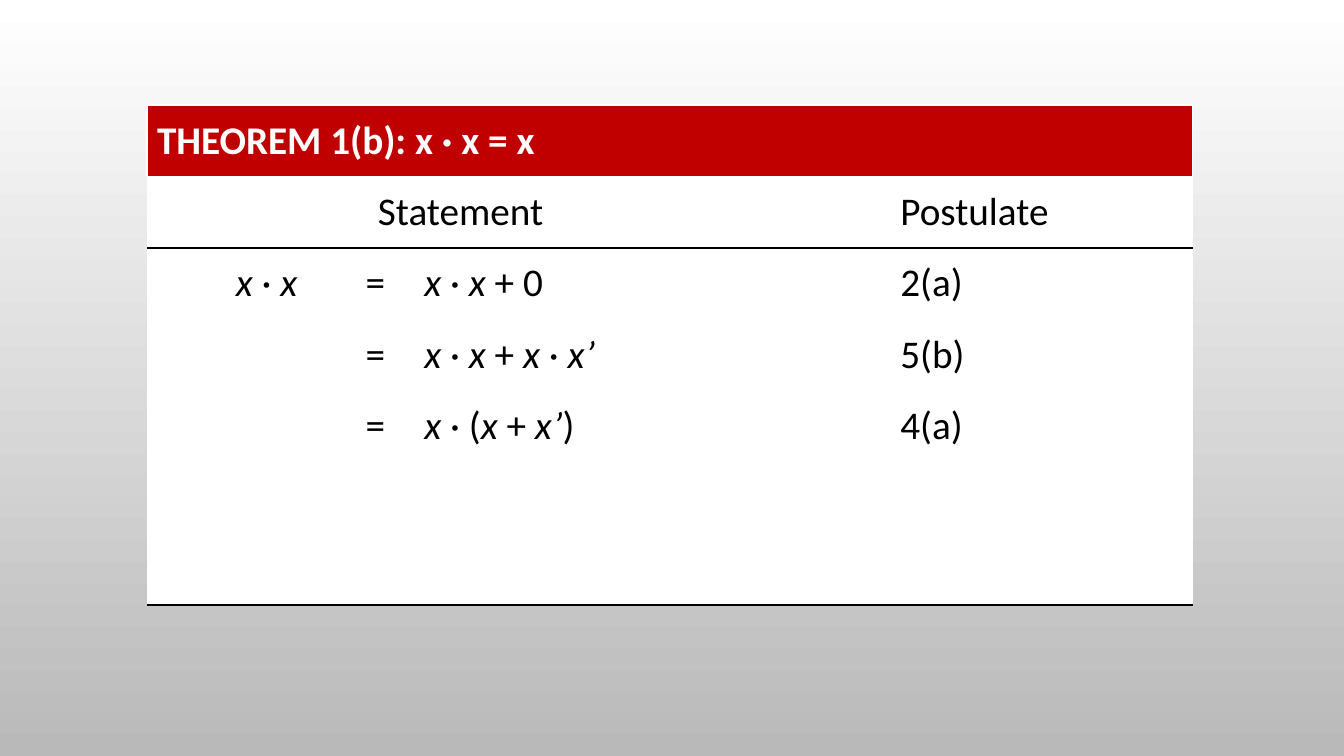
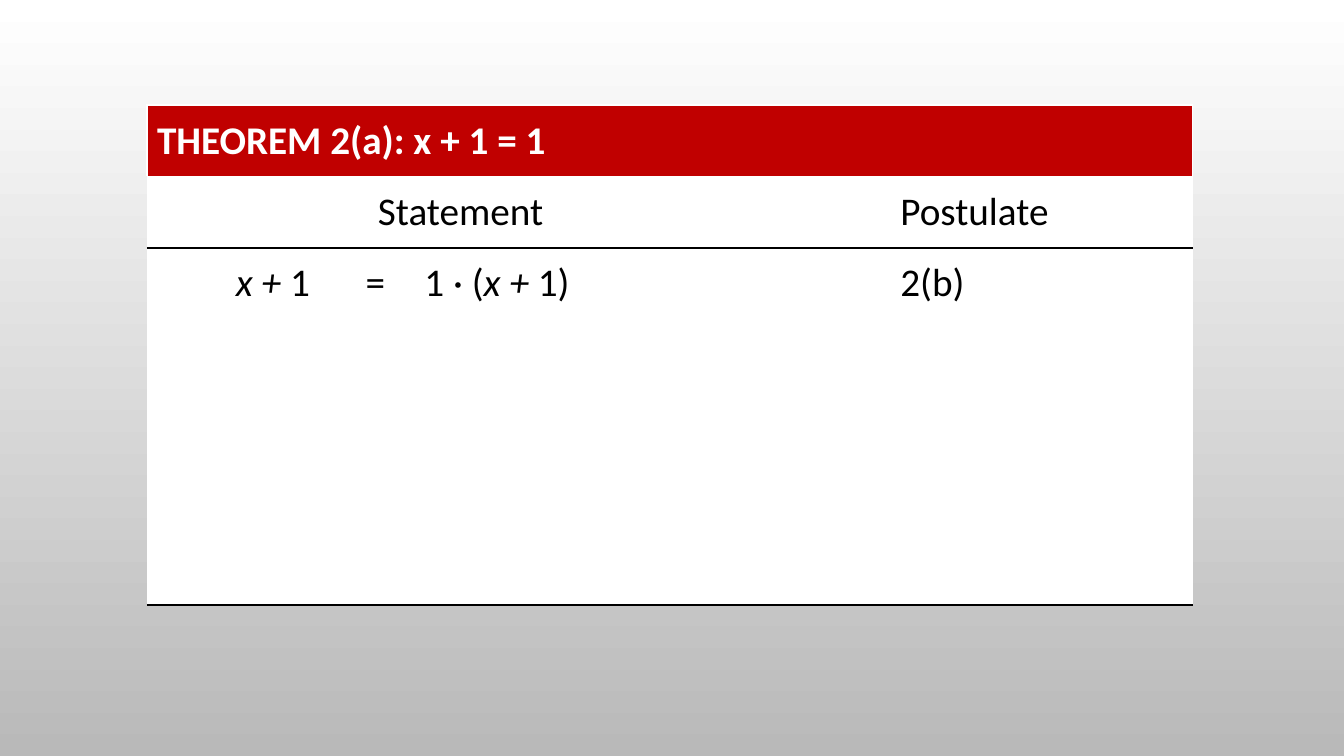
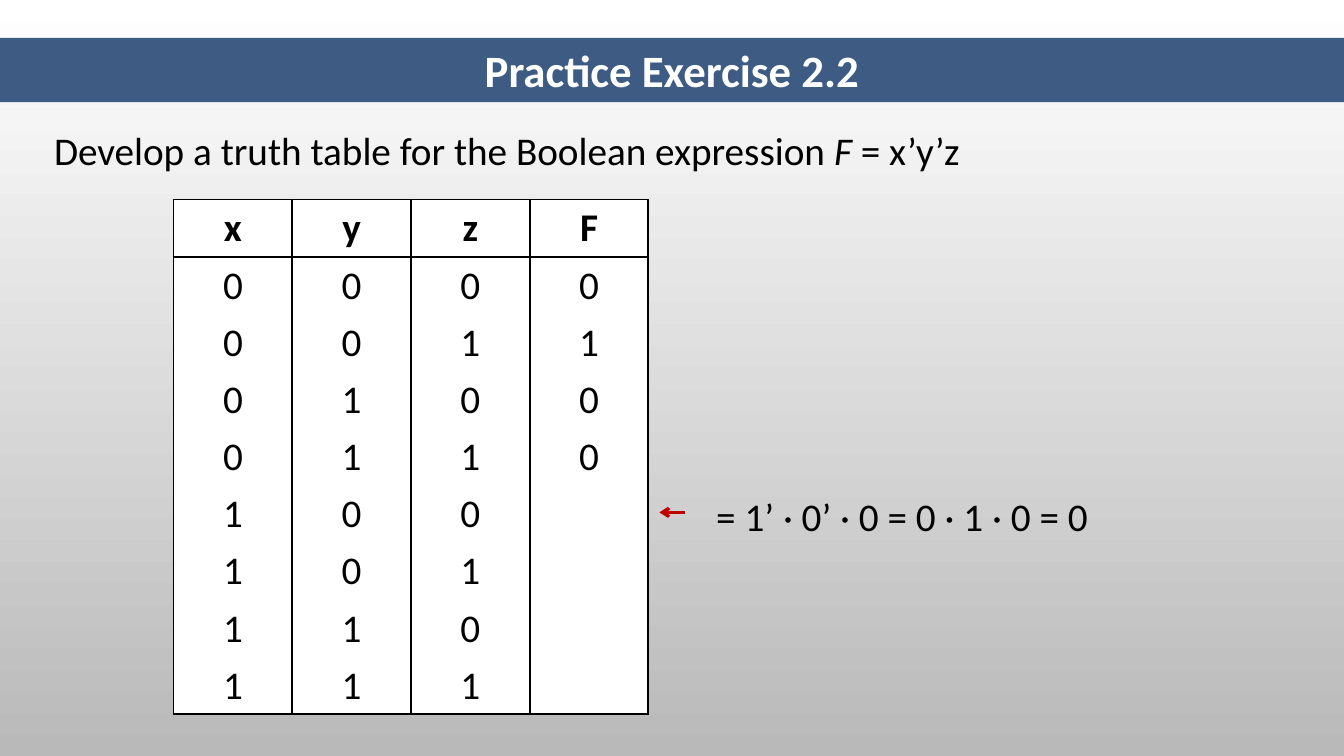
from dataclasses import dataclass
from itertools import product

from lxml.etree import SubElement as Sub
from pptx import Presentation
from pptx.dml.color import RGBColor as Rgb
from pptx.enum.shapes import MSO_CONNECTOR as Link
from pptx.enum.text import MSO_ANCHOR as Anchor, MSO_AUTO_SIZE as Auto, PP_ALIGN as Align
from pptx.oxml.ns import qn
from pptx.util import Pt


# Theme: colours, type sizes and line widths
@dataclass(frozen=True)
class Theme:
    font: str = "Calibri"
    ink: str = "000000"
    paper: str = "FFFFFF"
    shade: str = "B9B9B9"
    red: str = "C00000"
    blue: str = "3E5C83"
    body: int = 28
    head: int = 32
    rule: float = 1.5
    thin: float = 1
    bold: float = 2.25


theme = Theme()
RULE = (theme.ink, theme.rule)
EDGE = (theme.paper, theme.thin)


def color(code):
    return Rgb.from_string(code)


def write(frame, text, size=theme.body, ink=theme.ink, bold=False, align=Align.LEFT):
    """Write one line of text; parts between asterisks are italic."""
    para = frame.paragraphs[0]
    para.alignment = align
    for i, part in enumerate(text.split("*")):
        if part:
            run = para.add_run()
            run.text = part
            font = run.font
            font.name, font.size = theme.font, Pt(size)
            font.bold, font.italic = bold, i % 2 == 1
            font.color.rgb = color(ink)


def border(cell, lines):
    """Draw the given sides (L, R, T, B) of a cell and clear the others."""
    props = cell._tc.get_or_add_tcPr()
    for side in "LRTB":
        line = Sub(props, qn(f"a:ln{side}"))
        if side in lines:
            ink, width = lines[side]
            line.set("w", str(Pt(width)))
            fill = Sub(line, qn("a:solidFill"))
            Sub(fill, qn("a:srgbClr")).set("val", ink)
        else:
            line.set("w", "0")
            Sub(line, qn("a:noFill"))


class Deck:
    def __init__(self):
        self.prs = Presentation()
        self.prs.slide_width, self.prs.slide_height = Pt(960), Pt(540)
        self.slide = None
        # Shared background
        fill = self.prs.slide_master.background.fill
        fill.gradient()
        fill.gradient_angle = 270
        for stop, code in zip(fill.gradient_stops, (theme.paper, theme.shade)):
            stop.color.rgb = color(code)

    def page(self, title=None):
        layout = self.prs.slide_layouts[5 if title else 6]
        self.slide = self.prs.slides.add_slide(layout)
        if title:
            self.band(title)

    def band(self, text):
        shape = self.slide.shapes.title
        shape.left, shape.top = Pt(0), Pt(27)
        shape.width, shape.height = Pt(960), Pt(46)
        shape.fill.solid()
        shape.fill.fore_color.rgb = color(theme.blue)
        frame = shape.text_frame
        frame.auto_size = Auto.NONE
        frame.vertical_anchor = Anchor.MIDDLE
        write(frame, text, size=theme.head, ink=theme.paper, bold=True, align=Align.CENTER)

    def label(self, text, left, top, width, height=41):
        box = self.slide.shapes.add_textbox(Pt(left), Pt(top), Pt(width), Pt(height))
        box.text_frame.word_wrap = True
        write(box.text_frame, text)

    def arrow(self, x1, x2, y):
        line = self.slide.shapes.add_connector(
            Link.STRAIGHT, Pt(x1), Pt(y), Pt(x2), Pt(y))
        line.line.color.rgb = color(theme.red)
        line.line.width = Pt(theme.bold)
        props = line.element.spPr
        Sub(props.find(qn("a:ln")), qn("a:tailEnd")).set("type", "arrow")
        Sub(props, qn("a:effectLst"))

    def table(self, left, top, cols, rows, high, lines):
        """Add an empty white table; lines(row, col) gives the cell borders."""
        table = self.slide.shapes.add_table(
            rows, len(cols), Pt(left), Pt(top), Pt(sum(cols)), Pt(rows * high)).table
        table.first_row = table.horz_banding = False
        for col, width in zip(table.columns, cols):
            col.width = Pt(width)
        for r, row in enumerate(table.rows):
            row.height = Pt(high)
            for c, cell in enumerate(row.cells):
                border(cell, lines(r, c))
                cell.fill.solid()
                cell.fill.fore_color.rgb = color(theme.paper)
                cell.vertical_anchor = Anchor.MIDDLE
        return table

    def proof(self, title, steps):
        """Add a theorem slide; a step is left side, right side, postulate."""
        last = 6

        def lines(r, c):
            if r == 0:
                return dict.fromkeys("LTR" if c == 0 else "T", EDGE)
            return {1: {"B": RULE}, 2: {"T": RULE}, last: {"B": RULE}}.get(r, {})

        self.page()
        table = self.table(105, 75, (149, 42, 257, 83, 216), last + 1, 51, lines)
        # Heading rows
        head, state = table.cell(0, 0), table.cell(1, 0)
        head.merge(table.cell(0, 4))
        state.merge(table.cell(1, 2))
        head.fill.fore_color.rgb = color(theme.red)
        write(head.text_frame, title, ink=theme.paper, bold=True)
        write(state.text_frame, "Statement", align=Align.CENTER)
        write(table.cell(1, 4).text_frame, "Postulate")
        # Steps
        for r, (left, right, rule) in enumerate(steps, 2):
            table.cell(r, 0).margin_left = Pt(63.5)
            for c, text in ((0, left), (1, "="), (2, right), (4, rule)):
                write(table.cell(r, c).text_frame, text)

    def truth(self, left, top, heads, data):
        """Add a truth table with a ruled heading row."""
        last = len(data)

        def lines(r, c):
            sides = "LR" + ("T" if r < 2 else "") + ("B" if r in (0, last) else "")
            return dict.fromkeys(sides, RULE)

        table = self.table(left, top, [84.8] * len(heads), last + 1, 40.8, lines)
        for r, row in enumerate([heads, *data]):
            for c, text in enumerate(row):
                write(table.cell(r, c).text_frame, str(text), bold=r == 0,
                      align=Align.CENTER)


def main():
    deck = Deck()

    # Theorems
    deck.proof("THEOREM 1(b): x · x = x", [
        ("*x* · *x*", "*x* · *x* + 0", "2(a)"),
        ("", "*x* · *x* + *x* · *x’*", "5(b)"),
        ("", "*x* · (*x* + *x’*)", "4(a)"),
    ])
    deck.proof("THEOREM 2(a): x + 1 = 1", [
        ("*x + *1", "1 · (*x + *1)", "2(b)"),
    ])

    # Exercise
    deck.page("Practice Exercise 2.2")
    deck.label("Develop a truth table for the Boolean expression *F* = x’y’z", 31.5, 87, 862)
    known = (0, 1, 0, 0, "", "", "", "")
    bits = product((0, 1), repeat=3)
    deck.truth(124, 142.5, "xyzF", [(*row, f) for row, f in zip(bits, known)])
    deck.label("= 1’ · 0’ · 0 = 0 · 1 · 0 = 0", 504.5, 348, 327)
    deck.arrow(489, 471, 366)

    deck.prs.save("out.pptx")


if __name__ == "__main__":
    main()
